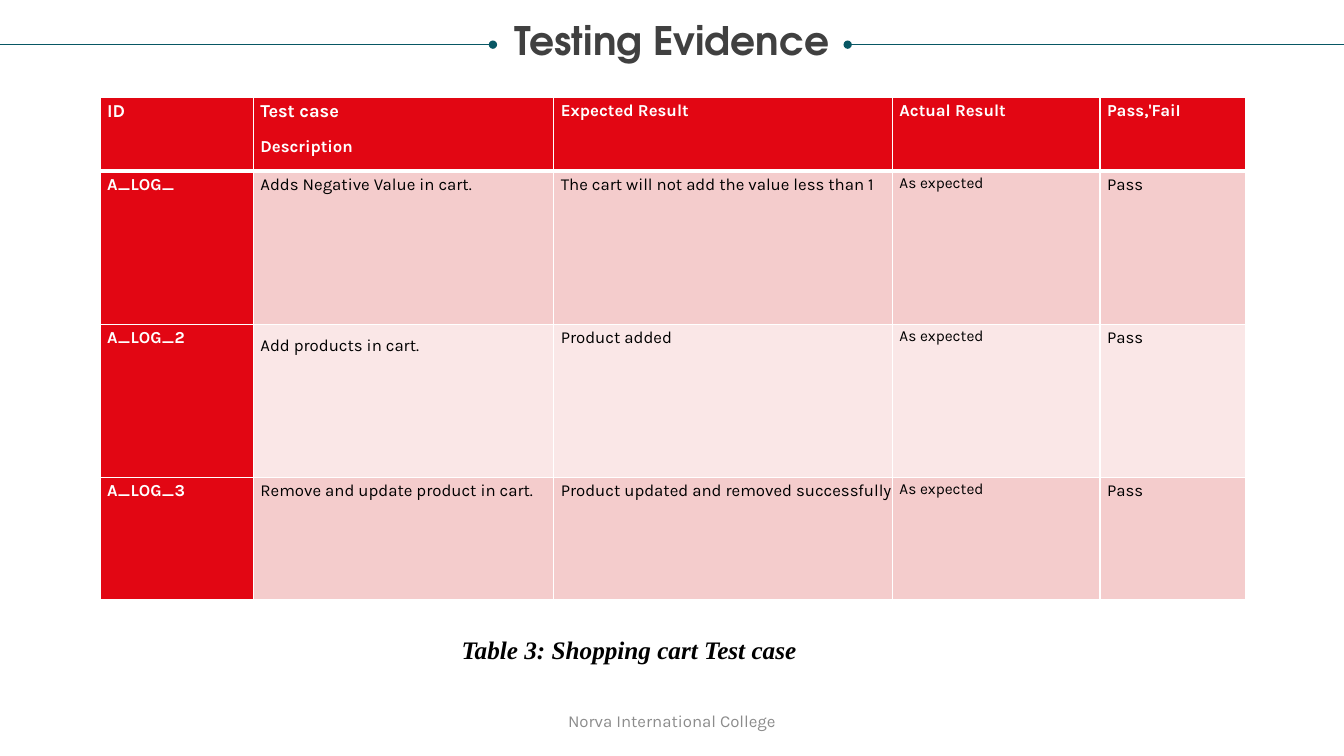
from lxml import etree
from pptx import Presentation
from pptx.dml.color import RGBColor
from pptx.enum.shapes import MSO_CONNECTOR as Connector
from pptx.enum.text import MSO_ANCHOR as Anchor, PP_ALIGN as Align
from pptx.oxml.ns import qn
from pptx.util import Pt

TEAL = RGBColor(0x08, 0x57, 0x64)
CHARCOAL = RGBColor(0x40, 0x40, 0x40)
GREY = RGBColor(0x8C, 0x8C, 0x8C)
BLACK = RGBColor(0, 0, 0)
WHITE = RGBColor(0xFF, 0xFF, 0xFF)
RED = RGBColor(0xE2, 0x06, 0x13)
PINK = RGBColor(0xF4, 0xCC, 0xCC)
PALE_PINK = RGBColor(0xFA, 0xE7, 0xE7)

SLIDE_WIDTH, SLIDE_HEIGHT = 960, 540
RULE_Y = 31.9
COLUMN_WIDTHS = [109.4, 214.6, 241.9, 148.3, 103.7]
ROW_HEIGHTS = [52.6, 109.4, 109.4, 87.1]
HEADER_SIZES = [13, 13, 12, 12, 12]
BODY_SIZES = [12, 12, 12, 11, 12]
TEST_CASES = [
    ["ID", "Test case\nDescription", "Expected Result", "Actual Result", "Pass,'FaiI"],
    ["A_LOG_", "Adds Negative Value in cart.",
     "The cart will not add the value less than 1", "As expected", "Pass"],
    ["A_LOG_2", "Add products in cart.", "Product added", "As expected", "Pass"],
    ["A_LOG_3", "Remove and update product in cart.",
     "Product updated and removed successfully", "As expected", "Pass"],
]


def style_font(paragraph, name, size, color, bold=False, italic=False):
    font = paragraph.font
    font.name, font.size, font.bold, font.italic = name, Pt(size), bold, italic
    font.color.rgb = color


def add_label(slide, text, box, name, size, color, bold=False, italic=False,
              align=Align.LEFT, anchor=Anchor.TOP, inset=None, spacing=None):
    frame = slide.shapes.add_textbox(*map(Pt, box)).text_frame
    frame.word_wrap = True
    frame.vertical_anchor = anchor
    if inset is not None:
        frame.margin_left = frame.margin_right = Pt(inset)
        frame.margin_top = frame.margin_bottom = Pt(inset)
    paragraph = frame.paragraphs[0]
    paragraph.text = text
    paragraph.alignment = align
    paragraph.line_spacing = spacing
    style_font(paragraph, name, size, color, bold, italic)


def add_dotted_rule(slide, dot_x, edge_x):
    """Thin rule that starts with a dot and runs to the slide edge."""
    rule = slide.shapes.add_connector(
        Connector.STRAIGHT, Pt(dot_x), Pt(RULE_Y), Pt(edge_x), Pt(RULE_Y))
    rule.line.color.rgb = TEAL
    rule.line.width = Pt(0.5)
    etree.SubElement(rule.line._ln, qn("a:headEnd"), type="oval")
    etree.SubElement(rule._element.spPr, qn("a:effectLst"))


def set_borders(cell, top, bottom):
    properties = cell._tc.get_or_add_tcPr()
    for side, width in (("lnL", 1), ("lnR", 1), ("lnT", top), ("lnB", bottom)):
        border = etree.SubElement(properties, qn(f"a:{side}"), w=str(Pt(width)))
        fill = etree.SubElement(border, qn("a:solidFill"))
        etree.SubElement(fill, qn("a:srgbClr"), val=str(WHITE))


def fill_cell(cell, text, row, column):
    is_heading = row == 0 or column == 0
    set_borders(cell, top=3 if row == 1 else 1, bottom=3 if row == 0 else 1)
    cell.fill.solid()
    cell.fill.fore_color.rgb = RED if is_heading else (PINK if row % 2 else PALE_PINK)
    cell.margin_left, cell.margin_top = Pt(4.3), Pt(1.4)
    cell.margin_right = cell.margin_bottom = 0
    cell.text_frame.text = text
    size = (BODY_SIZES if row else HEADER_SIZES)[column]
    for index, paragraph in enumerate(cell.text_frame.paragraphs):
        # The second heading line is one point smaller
        style_font(paragraph, "Karla", size - index,
                   WHITE if is_heading else BLACK, bold=is_heading)
        paragraph.space_before = Pt(6)
        paragraph.line_spacing = 1.07
        paragraph._p.get_or_add_pPr().set("marL", str(Pt(0.7)))
        paragraph._p.get_or_add_pPr().set("indent", "0")
    if row == 0 and column == 1:
        cell.text_frame.paragraphs[0].space_after = Pt(3.7)
    if row == 2 and column == 1:
        cell.text_frame.paragraphs[0].line_spacing = 1.5


def add_test_table(slide):
    table = slide.shapes.add_table(
        len(ROW_HEIGHTS), len(COLUMN_WIDTHS), Pt(71.6), Pt(69.8),
        Pt(sum(COLUMN_WIDTHS)), Pt(sum(ROW_HEIGHTS))).table
    table.first_row = table.horz_banding = False
    for column, width in zip(table.columns, COLUMN_WIDTHS):
        column.width = Pt(width)
    for row, height in zip(table.rows, ROW_HEIGHTS):
        row.height = Pt(height)
    for row, texts in enumerate(TEST_CASES):
        for column, text in enumerate(texts):
            fill_cell(table.cell(row, column), text, row, column)


def main():
    deck = Presentation()
    deck.slide_width, deck.slide_height = Pt(SLIDE_WIDTH), Pt(SLIDE_HEIGHT)
    slide = deck.slides.add_slide(deck.slide_layouts[6])

    # Title between two dotted rules
    add_dotted_rule(slide, 605.5, SLIDE_WIDTH)
    add_label(slide, "Testing Evidence", (18, 15.1, 923.8, 40), "TeX Gyre Adventor",
              28, CHARCOAL, bold=True, align=Align.CENTER, inset=0, spacing=0.9)
    add_dotted_rule(slide, 352.1, 0)

    # Footer
    add_label(slide, "Norva International College", (318, 500.4, 324, 28.8), "Karla",
              12, GREY, align=Align.CENTER, anchor=Anchor.MIDDLE)

    # Test cases and their caption
    add_test_table(slide)
    add_label(slide, "Table 3: Shopping cart Test case", (322.7, 449.3, 276.3, 40),
              "Times New Roman", 18, BLACK, bold=True, italic=True)

    deck.save("out.pptx")


if __name__ == "__main__":
    main()
